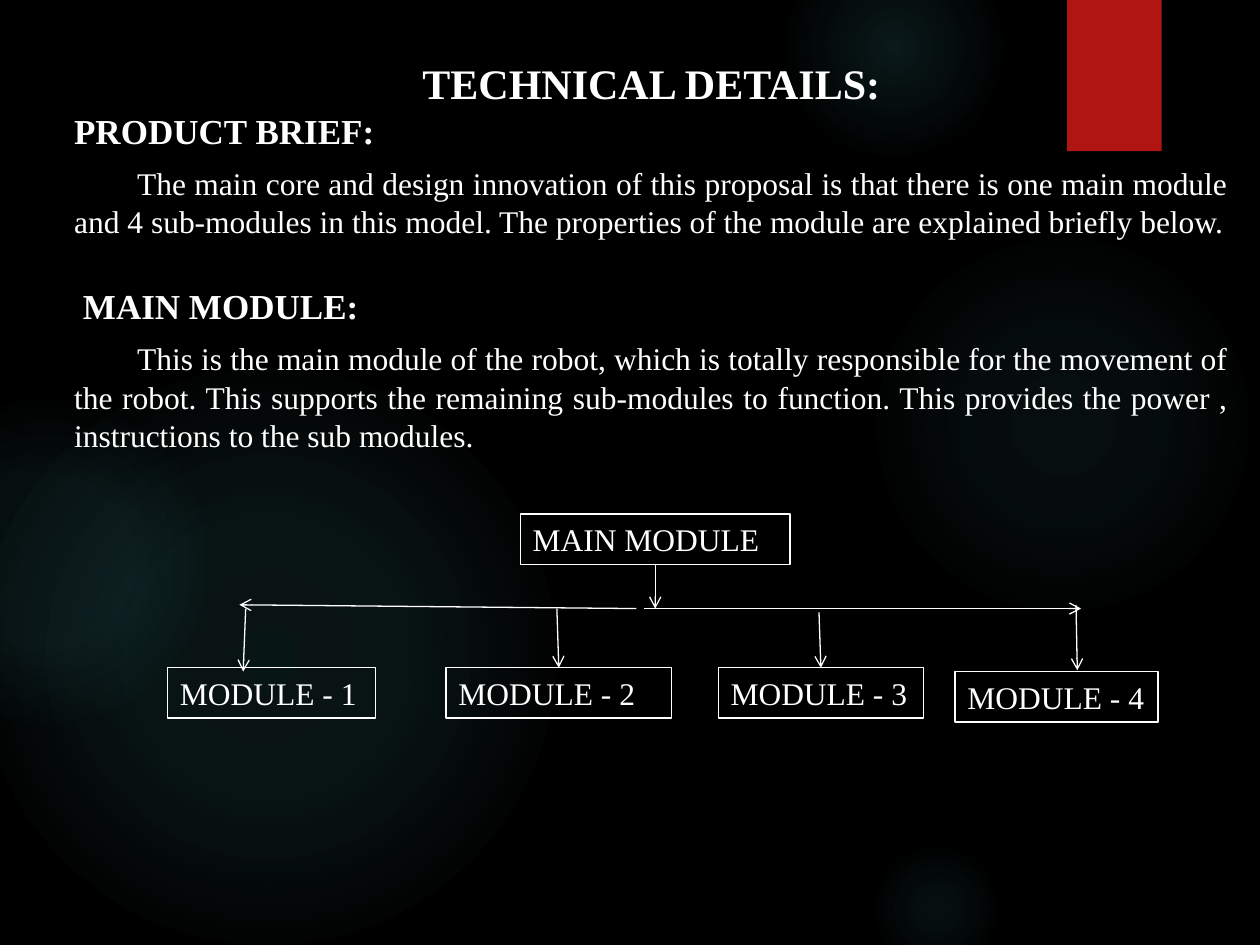
from lxml import etree
from pptx import Presentation
from pptx.dml.color import RGBColor
from pptx.enum.shapes import MSO_CONNECTOR, MSO_SHAPE
from pptx.enum.text import MSO_ANCHOR, PP_ALIGN
from pptx.oxml.ns import qn
from pptx.util import Inches, Pt

RECT, OVAL = MSO_SHAPE.RECTANGLE, MSO_SHAPE.OVAL
STRAIGHT = MSO_CONNECTOR.STRAIGHT
TOP = MSO_ANCHOR.TOP
LEFT, CENTER, JUSTIFY = PP_ALIGN.LEFT, PP_ALIGN.CENTER, PP_ALIGN.JUSTIFY

THEME = {
    "font": "Times New Roman",
    "back": RGBColor(0x00, 0x00, 0x00),
    "ink": RGBColor(0xFF, 0xFF, 0xFF),
    "ribbon": RGBColor(0xB0, 0x15, 0x13),
    "glow": "50B9C1",
    "title": Pt(24),
    "heading": Pt(20),
    "body": Pt(18),
    "line": Pt(0.75),
}


def add_xml(parent, tag, **attrs):
    return etree.SubElement(parent, qn(tag), {k: str(v) for k, v in attrs.items()})


def write(p, text, size, bold=False, **paragraph_format):
    for name, value in paragraph_format.items():
        setattr(p, name, value)
    r = p.add_run()
    r.text = text
    for name, value in {"name": THEME["font"], "size": size, "bold": bold}.items():
        setattr(r.font, name, value)
    r.font.color.rgb = THEME["ink"]


prs = Presentation()
prs.slide_width, prs.slide_height = Inches(10), Inches(7.5)
s = prs.slides.add_slide(prs.slide_layouts[6])
s.background.fill.solid()
s.background.fill.fore_color.rgb = THEME["back"]

glows = [
    (6.89, 1.83, 3.08, [(0, 7), (36, 6), (69, 0)]),
    (6.22, -0.5, 1.75, [(0, 14), (36, 7), (73, 0)]),
    (6.89, 6.67, 1.08, [(0, 9), (36, 5), (66, 0)]),
    (-0.17, 2.92, 4.58, [(0, 11), (36, 10), (75, 0)]),
    (-0.92, 3.17, 2.58, [(0, 8), (36, 8), (72, 0)]),
]
for x, y, size, stops in glows:
    sp = s.shapes.add_shape(OVAL, Inches(x), Inches(y), Inches(size), Inches(size))
    sp.shadow.inherit = False
    sp.line.fill.background()
    grad = add_xml(sp.element.spPr, "a:gradFill", rotWithShape=1)
    stop_list = add_xml(grad, "a:gsLst")
    for position, opacity in stops:
        stop = add_xml(stop_list, "a:gs", pos=position * 1000)
        color = add_xml(stop, "a:srgbClr", val=THEME["glow"])
        add_xml(color, "a:alpha", val=opacity * 1000)
    circle = add_xml(grad, "a:path", path="circle")
    add_xml(circle, "a:fillToRect", l=50000, t=50000, r=50000, b=50000)
    sp.element.spPr.insert(2, grad)

ribbon = s.shapes.add_shape(RECT, Inches(8.47), 0, Inches(0.75), Inches(1.2))
ribbon.fill.solid()
ribbon.fill.fore_color.rgb = THEME["ribbon"]
ribbon.line.fill.background()
ribbon.shadow.inherit = False
effects = ribbon.element.spPr.find(qn("a:effectLst"))
shadow = add_xml(effects, "a:outerShdw", blurRad=Pt(3), dist=Pt(2), dir=5400000, rotWithShape=0)
color = add_xml(shadow, "a:srgbClr", val=THEME["back"])
add_xml(color, "a:alpha", val=45000)

heading = {"size": THEME["heading"], "bold": True, "alignment": LEFT}
body = {"size": THEME["body"], "alignment": JUSTIFY, "line_spacing": Pt(22), "space_before": Pt(6.5)}
paragraphs = [
    ("TECHNICAL DETAILS:", 0, {"size": THEME["title"], "bold": True, "alignment": CENTER}),
    ("PRODUCT BRIEF:", 0, heading | {"space_before": Pt(1)}),
    ("The main core and design innovation of this proposal is that there is one main module "
     "and 4 sub-modules in this model. The properties of the module are explained briefly below.",
     0.5, body),
    ("MAIN MODULE:", 0.07, heading | {"space_before": Pt(25.5)}),
    ("This is the main module of the robot, which is totally responsible for the movement of "
     "the robot. This supports the remaining sub-modules to function. This provides the power , "
     "instructions to the sub modules.", 0.5, body),
]
tf = s.shapes.add_textbox(Inches(0.49), Inches(0.41), Inches(9.36), Inches(3.23)).text_frame
tf.word_wrap = True
for i, (text, indent, style) in enumerate(paragraphs):
    p = tf.add_paragraph() if i else tf.paragraphs[0]
    write(p, text, **style)
    p._p.get_or_add_pPr().set("indent", str(Inches(indent)))

boxes = {}
for label, x, y, width in [
    ("MAIN MODULE", 4.13, 4.08, 2.14),
    ("MODULE - 1", 1.33, 5.3, 1.65),
    ("MODULE - 2", 3.54, 5.3, 1.79),
    ("MODULE - 3", 5.7, 5.3, 1.63),
    ("MODULE - 4", 7.58, 5.33, 1.61),
]:
    sp = s.shapes.add_shape(RECT, Inches(x), Inches(y), Inches(width), Inches(0.4))
    sp.shadow.inherit = False
    sp.fill.background()
    sp.line.color.rgb = THEME["ink"]
    sp.line.width = THEME["line"]
    tf = sp.text_frame
    tf.word_wrap = True
    tf.vertical_anchor = TOP
    write(tf.paragraphs[0], label, THEME["body"], alignment=LEFT)
    boxes[label] = sp

arrows = [
    (5.2, 4.48, 5.2, 4.83, "MAIN MODULE", None),
    (5.11, 4.83, 8.58, 4.83, None, None),
    (5.05, 4.83, 1.9, 4.8, None, None),
    (1.95, 4.83, 1.93, 5.33, None, None),
    (4.42, 4.83, 4.43, 5.3, None, "MODULE - 2"),
    (6.5, 4.86, 6.51, 5.3, None, "MODULE - 3"),
    (8.54, 4.8, 8.55, 5.32, None, None),
]
for x1, y1, x2, y2, source, target in arrows:
    arrow = s.shapes.add_connector(STRAIGHT, Inches(x1), Inches(y1), Inches(x2), Inches(y2))
    if source:
        arrow.begin_connect(boxes[source], 2)
    if target:
        arrow.end_connect(boxes[target], 0)
    arrow.line.color.rgb = THEME["ink"]
    arrow.line.width = THEME["line"]
    add_xml(arrow.line._get_or_add_ln(), "a:tailEnd", type="arrow")
    add_xml(arrow._element.spPr, "a:effectLst")

prs.save("out.pptx")
